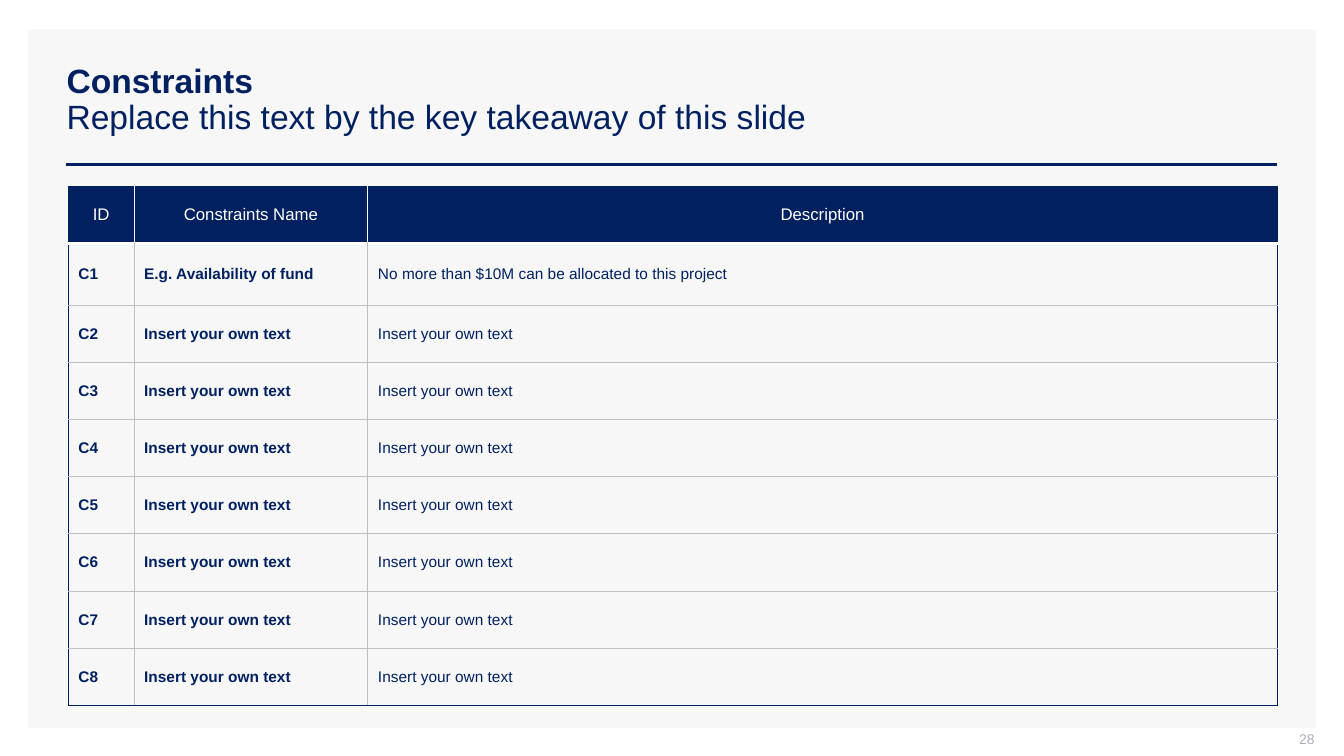
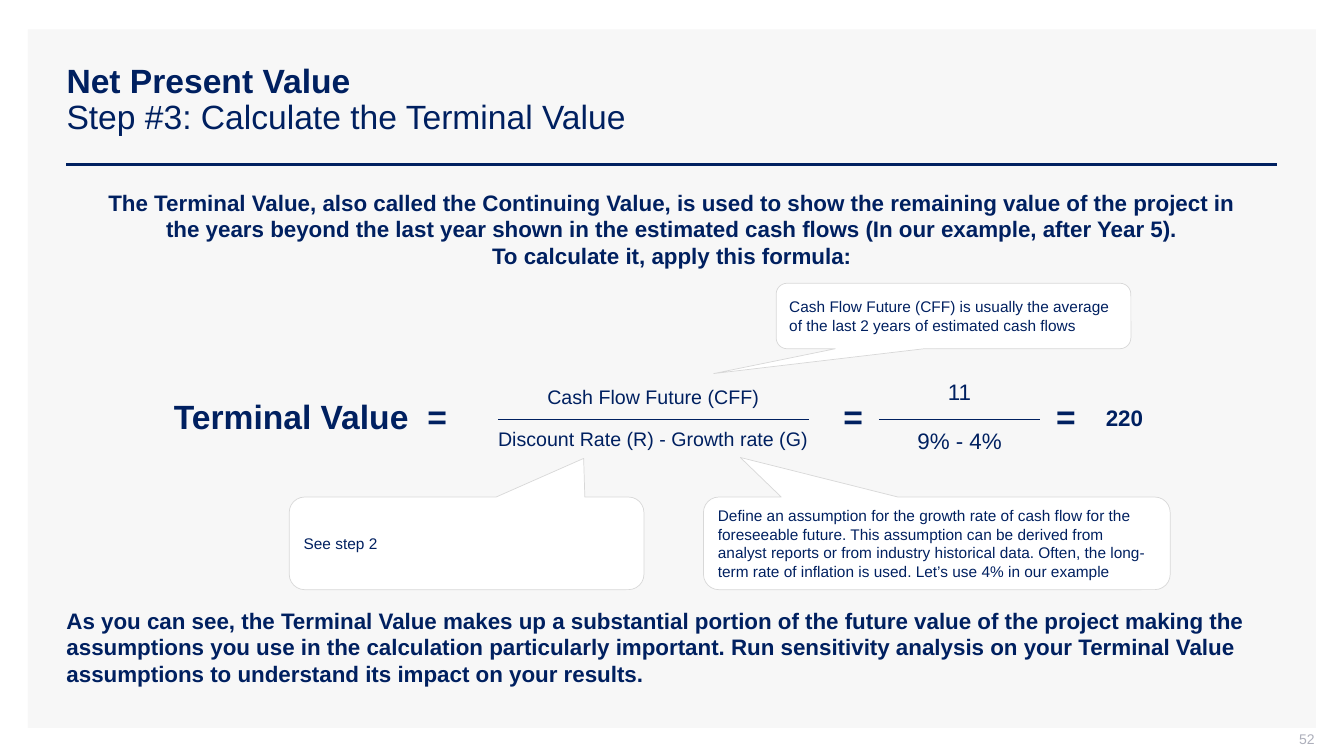
"""Build a constraints table slide and a terminal value formula slide."""
from lxml import etree
from pptx import Presentation
from pptx.dml.color import RGBColor
from pptx.enum.shapes import MSO_CONNECTOR, MSO_SHAPE
from pptx.enum.text import MSO_ANCHOR, MSO_AUTO_SIZE, PP_ALIGN
from pptx.oxml.ns import qn
from pptx.util import Pt

LEFT, CENTER, RIGHT = PP_ALIGN.LEFT, PP_ALIGN.CENTER, PP_ALIGN.RIGHT
TOP, MIDDLE = MSO_ANCHOR.TOP, MSO_ANCHOR.MIDDLE
NO_FIT = MSO_AUTO_SIZE.NONE
LINE = MSO_CONNECTOR.STRAIGHT
RECT = MSO_SHAPE.RECTANGLE
CALLOUT = MSO_SHAPE.ROUNDED_RECTANGULAR_CALLOUT
COLORS = {"navy": "002060", "white": "FFFFFF", "panel": "F7F7F7",
          "grid": "BFBFBF", "edge": "D8D8D8", "page": "ADAFBB"}
RGB = {name: RGBColor.from_string(code) for name, code in COLORS.items()}


def write(frame, text, size, bold=False, align=CENTER, color="navy"):
    frame.word_wrap = True
    frame.text = text
    par = frame.paragraphs[0]
    par.alignment = align
    font = par.font
    font.name, font.size, font.bold = "Arial", Pt(size), bold
    font.color.rgb = RGB[color]
    return par


def rule(slide, x1, x2, y, width):
    line = slide.shapes.add_connector(LINE, Pt(x1), Pt(y), Pt(x2), Pt(y))
    line.line.color.rgb = RGB["navy"]
    line.line.width = Pt(width)
    etree.SubElement(line._element.spPr, qn("a:effectLst"))
    return line


deck = Presentation()
deck.slide_width, deck.slide_height = Pt(960), Pt(540)
layout = deck.slide_layouts[5]
head = layout.placeholders[0]
head.left, head.top, head.width, head.height = Pt(40.3), Pt(28.8), Pt(872), Pt(85.7)

heads = [("Constraints", "Replace this text by the key takeaway of this slide", "28"),
         ("Net Present Value", "Step #3: Calculate the Terminal Value", "52")]
slides = []
for name, lead, number in heads:
    slide = deck.slides.add_slide(layout)
    slides.append(slide)
    frame = slide.shapes.title.text_frame
    par = write(frame, f"{name}\v{lead}", 24, align=LEFT)
    par.line_spacing = 0.9
    par.runs[0].font.bold = True
    frame.auto_size = NO_FIT
    frame.vertical_anchor = MIDDLE
    page = slide.shapes.add_textbox(Pt(723), Pt(522), Pt(216), Pt(15)).text_frame
    write(page, number, 10, align=RIGHT, color="page")
    page.vertical_anchor = MIDDLE
    page.margin_top, page.margin_right, page.margin_bottom = 0, 0, Pt(3.6)

first, second = slides
panel = first.shapes.add_shape(RECT, Pt(20), Pt(21), Pt(920), Pt(499))
panel.shadow.inherit = False
panel.fill.solid()
panel.fill.fore_color.rgb = RGB["panel"]
panel.line.fill.background()
bar = rule(first, 47.5, 912.3, 117.4, 2)
for spot, part in enumerate((panel, bar), 2):
    layout.shapes._spTree.insert(spot, part._element)

blank = "Insert your own text"
rows = [("ID", "Constraints Name", "Description"),
        ("C1", "E.g. Availability of fund", "No more than $10M can be allocated to this project")]
rows += [(f"C{n}", blank, blank) for n in range(2, 9)]
widths = [47, 167, 649.5]
heights = [41, 44] + [40.85] * 7
grid = first.shapes.add_table(len(rows), len(widths), Pt(48.8), Pt(133),
                              Pt(sum(widths)), Pt(sum(heights))).table
grid.first_row = grid.horz_banding = False
for col, width in zip(grid.columns, widths):
    col.width = Pt(width)
for row, height in zip(grid.rows, heights):
    row.height = Pt(height)
for r, row in enumerate(rows):
    for c, text in enumerate(row):
        cell = grid.cell(r, c)
        cell.vertical_anchor = MIDDLE
        if r == 0:
            write(cell.text_frame, text, 12, color="white")
            cell.fill.solid()
            cell.fill.fore_color.rgb = RGB["navy"]
        else:
            write(cell.text_frame, text, 11, c < 2, LEFT)
            cell.fill.background()
        inner = "grid" if r else "white"
        sides = [("L", "navy" if c == 0 else inner, 0.75),
                 ("R", "navy" if c == len(widths) - 1 else inner, 0.75),
                 ("T", ("navy", "white")[r] if r < 2 else "grid", 1 if r == 1 else 0.75),
                 ("B", "navy" if r == len(rows) - 1 else inner, 0.75 if r else 3)]
        props = cell._tc.get_or_add_tcPr()
        for spot, (side, color, width) in enumerate(sides):
            line = etree.Element(qn(f"a:ln{side}"), w=str(Pt(width)))
            fill = etree.SubElement(line, qn("a:solidFill"))
            etree.SubElement(fill, qn("a:srgbClr"), val=COLORS[color])
            props.insert(spot, line)

notes = [
    (134.8, CENTER, "The Terminal Value, also called the Continuing Value, is used to show the "
     "remaining value of the project in\vthe years beyond the last year shown in the estimated "
     "cash flows (In our example, after Year 5).\vTo calculate it, apply this formula:"),
    (433.4, LEFT, "As you can see, the Terminal Value makes up a substantial portion of the "
     "future value of the project making the assumptions you use in the calculation particularly "
     "important. Run sensitivity analysis on your Terminal Value assumptions to understand its "
     "impact on your results."),
]
for y, align, text in notes:
    frame = second.shapes.add_textbox(Pt(47.5), Pt(y), Pt(864.8), Pt(58)).text_frame
    frame.margin_left = frame.margin_right = frame.margin_top = frame.margin_bottom = 0
    write(frame, text, 16, True, align)

calls = [
    (554.4, 202.3, 253.4, 46.8, -0.676, 0.879,
     "Cash Flow Future (CFF) is usually the average of the last 2 years of estimated cash flows"),
    (502.5, 355, 333.4, 66.2, -0.421, -0.927,
     "Define an assumption for the growth rate of cash flow for the foreseeable future. This "
     "assumption can be derived from analyst reports or from industry historical data. Often, "
     "the long-term rate of inflation is used. Let’s use 4% in our example"),
    (206.6, 355, 253.4, 66.2, 0.33, -0.917, "See step 2"),
]
for x, y, width, height, dx, dy, text in calls:
    call = second.shapes.add_shape(CALLOUT, Pt(x), Pt(y), Pt(width), Pt(height))
    call.shadow.inherit = False
    call.adjustments[0], call.adjustments[1] = dx, dy
    call.fill.solid()
    call.fill.fore_color.rgb = RGB["white"]
    call.line.color.rgb = RGB["edge"]
    call.line.width = Pt(0.5)
    write(call.text_frame, text, 11, align=LEFT)
    call.text_frame.vertical_anchor = MIDDLE

terms = [
    (108, 279.4, 200, 36, "Terminal Value", 24, True),
    (341.3, 271.4, 250.6, 24.5, "Cash Flow Future (CFF)", 14, False),
    (332.6, 301.7, 267.8, 24.5, "Discount Rate (R) - Growth rate (G)", 14, False),
    (618.5, 266.4, 133.9, 26.6, "11", 16, False),
    (623.5, 301.7, 123.8, 26.6, "9% - 4%", 16, False),
    (770.4, 285.1, 65.5, 26.6, "220", 16, True),
]
terms += [(x, 279.4, 46.8, 36, "=", 24, True) for x in (288.8, 586.1, 738)]
for x, y, width, height, text, size, bold in terms:
    frame = second.shapes.add_textbox(Pt(x), Pt(y), Pt(width), Pt(height)).text_frame
    frame.vertical_anchor = TOP
    write(frame, text, size, bold)
for x1, x2 in ((355.7, 578.2), (627.8, 743)):
    rule(second, x1, x2, 299.5, 0.5)

deck.save("out.pptx")
